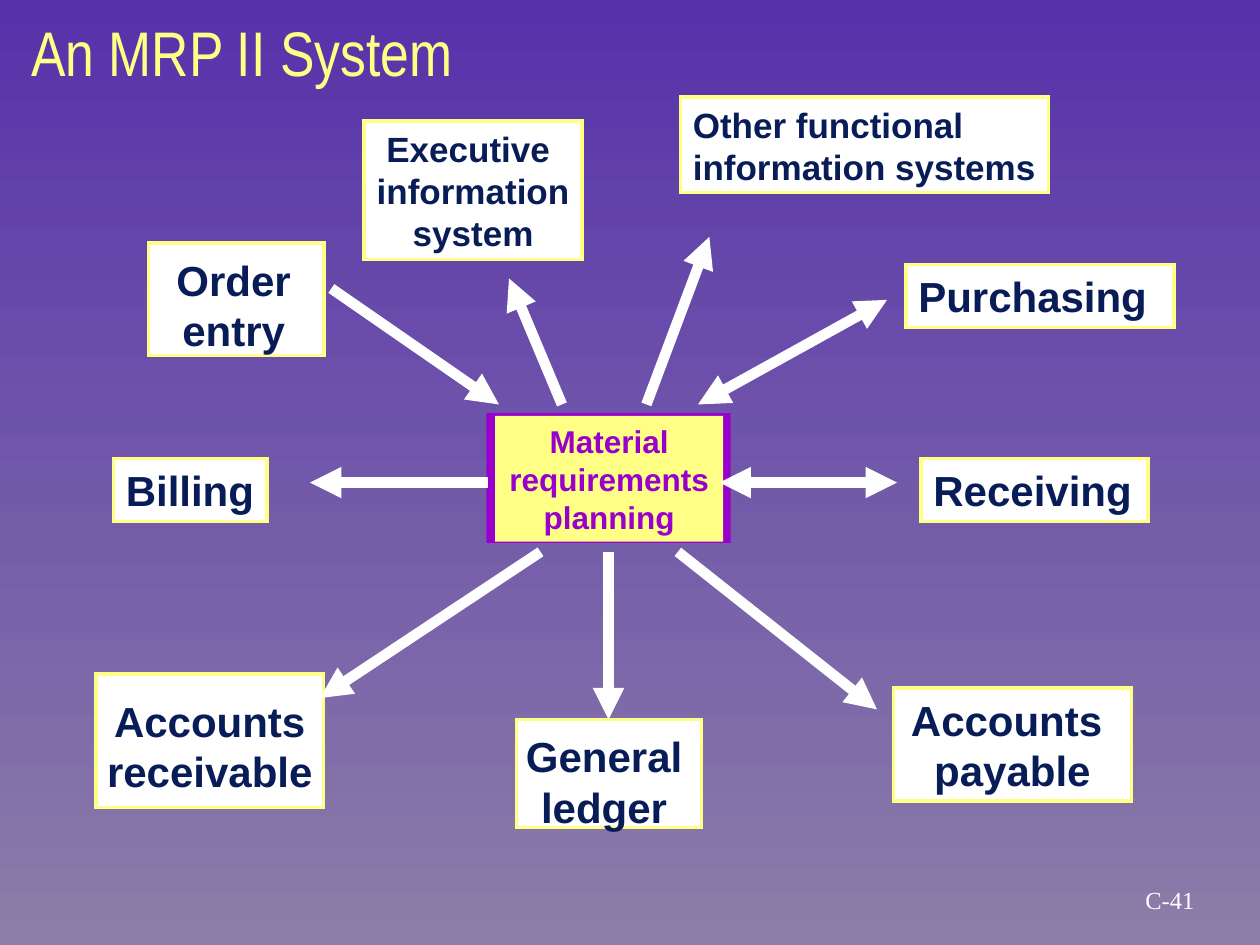
import pptx
import pptx.util
import pptx.dml.color
import pptx.enum.shapes
import pptx.enum.text
import pptx.oxml.ns
import lxml.etree
from dataclasses import dataclass

Inches = pptx.util.Inches
Color = pptx.dml.color.RGBColor.from_string
LEFT = pptx.enum.text.PP_ALIGN.LEFT
CENTER = pptx.enum.text.PP_ALIGN.CENTER


@dataclass(frozen=True)
class Theme:
    top: str = "5732AA"
    bottom: str = "8B7DA9"
    white: str = "FFFFFF"
    yellow: str = "FFFF85"
    purple: str = "9900CC"
    navy: str = "081D58"
    title: int = 36
    large: int = 24
    medium: int = 20
    small: int = 18
    footer: int = 14


theme = Theme()

presentation = pptx.Presentation()
presentation.slide_width = Inches(10)
presentation.slide_height = Inches(7.5)
slide = presentation.slides.add_slide(presentation.slide_layouts[6])

# Background gradient, running downwards
background = slide.background.fill
background.gradient()
background.gradient_angle = 270
for stop, color in zip(background.gradient_stops, (theme.top, theme.bottom)):
    stop.color.rgb = Color(color)


def add_box(place, fill, line=None):
    shape = slide.shapes.add_shape(
        pptx.enum.shapes.MSO_SHAPE.RECTANGLE, *map(Inches, place))
    shape.shadow.inherit = False
    shape.fill.solid()
    shape.fill.fore_color.rgb = Color(fill)
    if line:
        shape.line.color.rgb = Color(line)
        shape.line.width = pptx.util.Pt(2)
        outline = shape.line._get_or_add_ln()
        lxml.etree.SubElement(outline, pptx.oxml.ns.qn("a:miter"), lim="800000")
    else:
        shape.line.fill.background()
    return shape


def write(shape, lines, size, color, align=CENTER, wrap=False, font="Arial", bold=True):
    frame = shape.text_frame
    frame.word_wrap = wrap
    frame.auto_size = pptx.enum.text.MSO_AUTO_SIZE.SHAPE_TO_FIT_TEXT
    frame.vertical_anchor = pptx.enum.text.MSO_ANCHOR.TOP
    for index, line in enumerate(lines):
        paragraph = frame.add_paragraph() if index else frame.paragraphs[0]
        paragraph.alignment = align
        run = paragraph.add_run()
        run.text = line
        run.font.name = font
        run.font.size = pptx.util.Pt(size)
        run.font.bold = bold
        run.font.color.rgb = Color(color)


# Central planning box on its purple backing
add_box((3.86, 3.28, 1.94, 1.03), theme.purple)
center = add_box((3.93, 3.3, 1.81, 1), theme.yellow)
write(center, ["Material", "requirements", "planning"], theme.small, theme.purple)

# Surrounding systems that carry their own text
systems = [
    ((2.89, 0.96, 1.73, 1.1), ["Executive ", "information", "system"], theme.medium, CENTER, False),
    ((5.4, 0.77, 2.92, 0.76), ["Other functional", "information systems"], theme.medium, LEFT, False),
    ((7.19, 2.1, 2.13, 0.5), ["Purchasing"], theme.large, LEFT, True),
    ((7.31, 3.64, 1.8, 0.5), ["Receiving"], theme.large, LEFT, False),
    ((7.09, 5.46, 1.89, 0.9), ["Accounts ", "payable"], theme.large, CENTER, True),
    ((0.9, 3.64, 1.22, 0.5), ["Billing"], theme.large, LEFT, False),
]
for place, lines, size, align, wrap in systems:
    write(add_box(place, theme.white, theme.yellow), lines, size, theme.navy, align, wrap)

# Systems whose label is set apart from the panel
labelled_panels = [
    ((1.18, 1.93, 1.39, 0.89), (1.24, 1.97, 1.23, 0.9), ["Order", "entry"], True),
    ((0.76, 5.35, 1.81, 1.06), (0.75, 5.47, 1.83, 0.9), ["Accounts", "receivable"], False),
    ((4.1, 5.71, 1.47, 0.86), (4.03, 5.75, 1.53, 0.9), ["General ", "ledger"], False),
]
for panel_place, label_place, lines, wrap in labelled_panels:
    add_box(panel_place, theme.white, theme.yellow)
    label = slide.shapes.add_textbox(*map(Inches, label_place))
    write(label, lines, theme.large, theme.navy, wrap=wrap)

# Arrows: start, end, and whether both ends are pointed
arrows = [
    ((4.46, 3.21), (4.04, 2.21), False),
    ((5.13, 3.21), (5.63, 1.88), False),
    ((4.83, 4.38), (4.83, 5.71), False),
    ((5.38, 4.38), (6.96, 5.63), False),
    ((4.29, 4.38), (2.54, 5.54), False),
    ((3.87, 3.83), (2.46, 3.83), False),
    ((5.71, 3.83), (7.12, 3.83), True),
    ((5.54, 3.21), (7.04, 2.38), True),
    ((2.63, 2.29), (3.96, 3.21), False),
]
for start, end, both in arrows:
    arrow = slide.shapes.add_connector(
        pptx.enum.shapes.MSO_CONNECTOR.STRAIGHT, *map(Inches, start + end))
    arrow.line.color.rgb = Color(theme.white)
    arrow.line.width = pptx.util.Pt(6)
    line = arrow.line._get_or_add_ln()
    for tag in ("a:headEnd", "a:tailEnd") if both else ("a:tailEnd",):
        lxml.etree.SubElement(line, pptx.oxml.ns.qn(tag), type="triangle")
    lxml.etree.SubElement(arrow._element.spPr, pptx.oxml.ns.qn("a:effectLst"))

# Title and page number
title = slide.shapes.add_textbox(*map(Inches, (-0.24, 0.06, 4.32, 0.7)))
write(title, ["An MRP II System"], theme.title, theme.yellow, font="Arial Narrow", bold=False)
page_number = slide.shapes.add_textbox(*map(Inches, (8.68, 6.97, 1.21, 0.34)))
write(page_number, ["C-41"], theme.footer, theme.white, font="Times New Roman", bold=False)
page_number.text_frame.vertical_anchor = pptx.enum.text.MSO_ANCHOR.MIDDLE

presentation.save("out.pptx")
